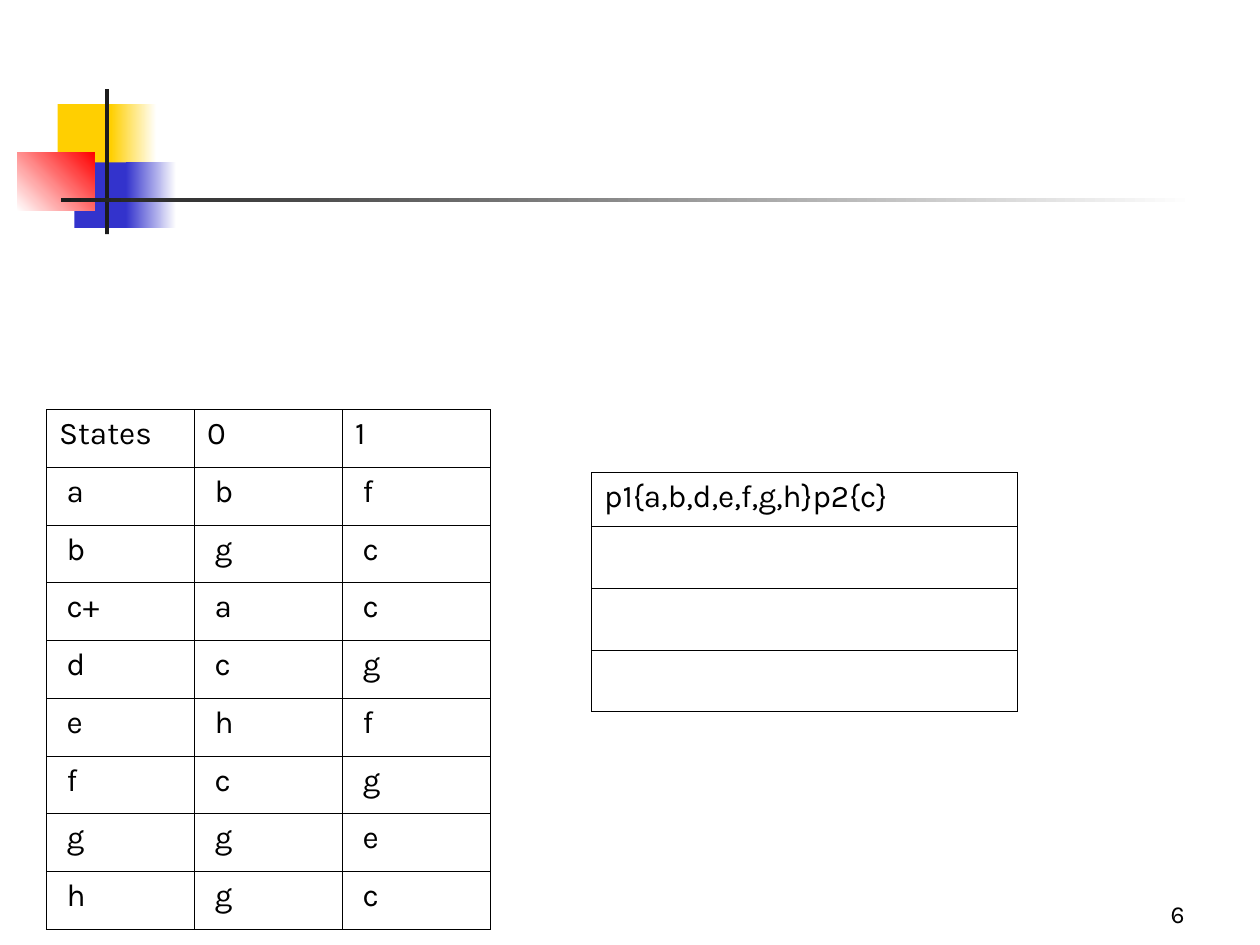
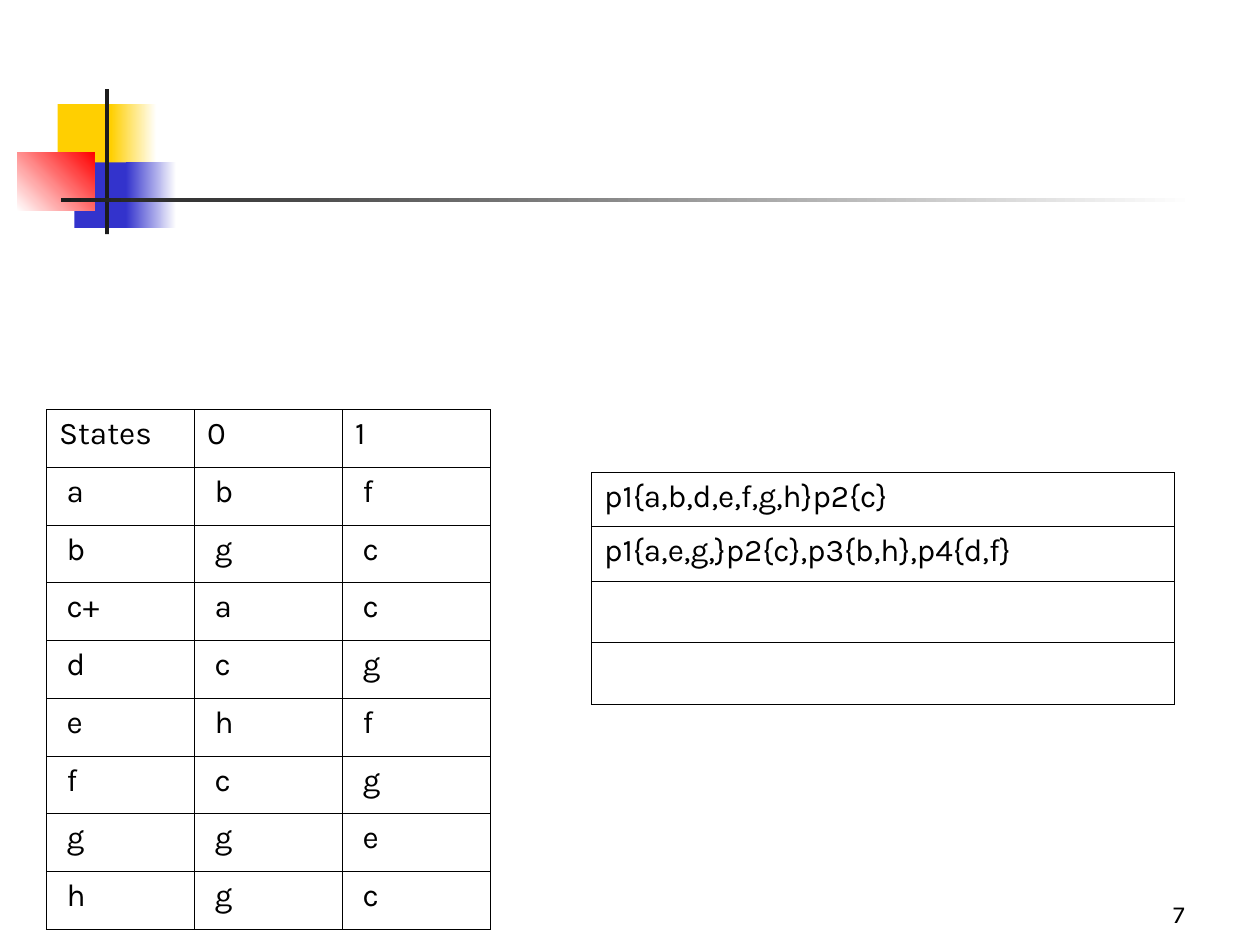
"""Build two slides showing the partitioning of states in DFA minimization."""
from lxml import etree
from pptx import Presentation
from pptx.dml.color import RGBColor
from pptx.enum import shapes, text
from pptx.oxml.ns import qn
from pptx.util import Pt

FONT = "Karla"
BLACK, WHITE, DARK = "000000", "FFFFFF", "1C1C1C"
YELLOW, BLUE, RED = "FFCF01", "3333CC", "FF0000"

TRANSITIONS = ["a b f", "b g c", "c+ a c", "d c g", "e h f", "f c g", "g g e", "h g c"]
STATE_ROWS = [["States", "0", "1"]] + [[f" {v}" for v in row.split()] for row in TRANSITIONS]
PARTITIONS = ["p1{a,b,d,e,f,g,h}p2{c}", "p1{a,e,g,}p2{c},p3{b,h},p4{d,f}"]
PARTITION_ROWS = 4


def color(hex_code):
    return RGBColor.from_string(hex_code)


def add_run(p, value, size):
    r = p.add_run()
    r.text = value
    r.font.name = FONT
    r.font.size = Pt(size)
    r.font.color.rgb = color(BLACK)


def add_block(s, box, start, end=None, angle=0):
    sp = s.shapes.add_shape(shapes.MSO_SHAPE.RECTANGLE, *map(Pt, box))
    sp.shadow.inherit = False
    sp.line.fill.background()
    if end is None:
        sp.fill.solid()
        sp.fill.fore_color.rgb = color(start)
        return
    sp.fill.gradient()
    sp.fill.gradient_angle = angle
    for stop, hex_code, position in zip(sp.fill.gradient_stops, (start, end), (0, 1)):
        stop.color.rgb = color(hex_code)
        stop.position = position


def add_emblem(s):
    add_block(s, (33, 59.5, 34.5, 37.5), YELLOW)
    add_block(s, (63.4, 59.5, 26, 37.5), YELLOW, WHITE)
    add_block(s, (42.5, 92.8, 33, 37.5), BLUE)
    add_block(s, (72, 92.8, 28.8, 37.5), BLUE, WHITE)
    add_block(s, (9.8, 87, 44.2, 33.5), WHITE, RED, 45)
    add_block(s, (60, 51, 2.3, 82.8), DARK)
    add_block(s, (34.8, 113, 648, 2.3), DARK, WHITE)


def add_slide_number(s, number):
    tf = s.shapes.add_textbox(Pt(534), Pt(498), Pt(150), Pt(36)).text_frame
    tf.word_wrap = True
    tf.vertical_anchor = text.MSO_ANCHOR.BOTTOM
    p = tf.paragraphs[0]
    p.alignment = text.PP_ALIGN.RIGHT
    add_run(p, str(number), 14)


def add_borders(cell):
    tc_pr = cell._tc.get_or_add_tcPr()
    for i, side in enumerate(("lnL", "lnR", "lnT", "lnB")):
        ln = etree.Element(qn(f"a:{side}"), w=str(Pt(0.45)))
        fill = etree.SubElement(ln, qn("a:solidFill"))
        etree.SubElement(fill, qn("a:srgbClr"), val=BLACK)
        tc_pr.insert(i, ln)


def add_grid(s, left, top, col_width, row_heights, rows):
    cols = len(rows[0])
    frame = s.shapes.add_table(len(rows), cols, Pt(left), Pt(top),
                               Pt(col_width * cols), Pt(sum(row_heights)))
    table = frame.table
    table.first_row = table.horz_banding = False
    for col in table.columns:
        col.width = Pt(col_width)
    for row, height, values in zip(table.rows, row_heights, rows):
        row.height = Pt(height)
        for cell, value in zip(row.cells, values):
            cell.fill.background()
            add_borders(cell)
            if value:
                add_run(cell.text_frame.paragraphs[0], value, 18)


def add_partition_slide(prs, number, partitions, width):
    s = prs.slides.add_slide(prs.slide_layouts[6])
    add_emblem(s)
    add_slide_number(s, number)
    add_grid(s, 26.6, 234, 84.6, [33] * len(STATE_ROWS), STATE_ROWS)
    empty = PARTITION_ROWS - len(partitions)
    heights = [31] * len(partitions) + [35.25] * empty
    add_grid(s, 338, 270, width, heights, [[v] for v in partitions + [""] * empty])


def main():
    prs = Presentation()
    prs.slide_width, prs.slide_height = Pt(720), Pt(540)
    add_partition_slide(prs, 6, PARTITIONS[:1], 243.5)
    add_partition_slide(prs, 7, PARTITIONS, 333)
    prs.save("out.pptx")


if __name__ == "__main__":
    main()
